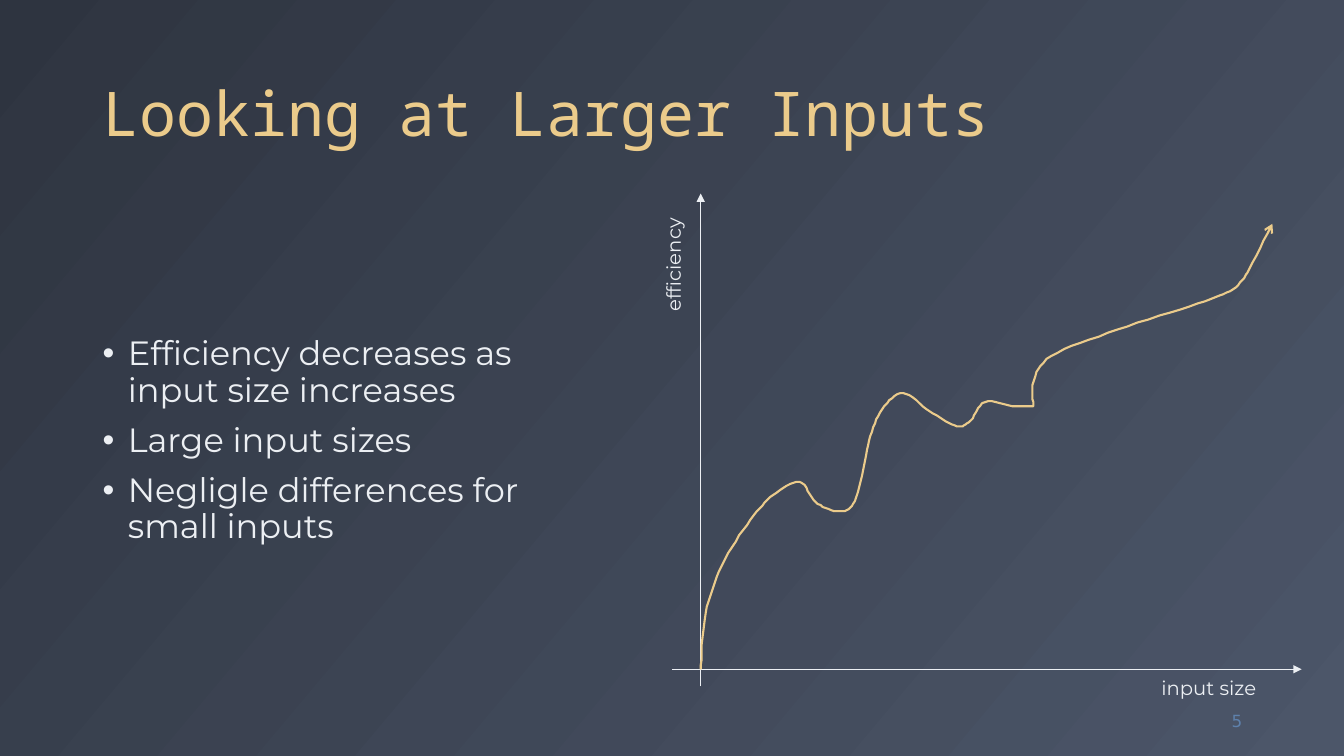
import pptx
import pptx.util
import pptx.dml.color
import pptx.enum.shapes
import pptx.enum.text
import pptx.oxml
import pptx.oxml.ns

PX = 9144  # 100 px to the inch
COLORS = {"dark": "2E3440", "slate": "4C5669", "gold": "EBCB8B",
          "snow": "ECEFF3", "blue": "5E81AC"}
ANCHOR = pptx.enum.text.MSO_ANCHOR
ALIGN = pptx.enum.text.PP_ALIGN
NS = pptx.oxml.ns.nsdecls("a")


def add_text(box, lines, font, size, color, anchor=ANCHOR.TOP, wrap=True):
    shape = slide.shapes.add_textbox(*[n * PX for n in box])
    frame = shape.text_frame
    frame.word_wrap = wrap
    frame.vertical_anchor = anchor
    frame.text = "\n".join(lines)
    for para in frame.paragraphs:
        para.font.name = font
        para.font.size = pptx.util.Pt(size)
        para.font.color.rgb = rgb[color]
    return shape


def style_line(shape, color, width, head):
    shape.line.color.rgb = rgb[color]
    shape.line.width = pptx.util.Pt(width)
    props = shape._element.spPr
    props.find(pptx.oxml.ns.qn("a:ln")).append(
        pptx.oxml.parse_xml(f'<a:tailEnd {NS} type="{head}"/>'))
    props.append(pptx.oxml.parse_xml(f"<a:effectLst {NS}/>"))


rgb = {name: pptx.dml.color.RGBColor.from_string(code)
       for name, code in COLORS.items()}
deck = pptx.Presentation()
deck.slide_width, deck.slide_height = 1333 * PX, 750 * PX
slide = deck.slides.add_slide(deck.slide_layouts[6])

# Background
back = slide.background.fill
back.gradient()
back.gradient_angle = 320
for stop, color in zip(back.gradient_stops, ("dark", "slate")):
    stop.color.rgb = rgb[color]

# Title
title = add_text((92, 18, 1150, 136), ["Looking at Larger Inputs"],
                 "Noto Sans Mono", 44, "gold", ANCHOR.BOTTOM)
title.text_frame.paragraphs[0].line_spacing = 0.9

# Bullets
points = ["Efficiency decreases as input size increases",
          "Large input sizes",
          "Negligle differences for small inputs"]
body = add_text((92, 200, 517, 476), points, "Montserrat", 24, "snow",
                ANCHOR.MIDDLE)
indent = 25 * PX
for para in body.text_frame.paragraphs:
    para.line_spacing = 0.9
    para.space_before = pptx.util.Pt(10)
    props = para._p.get_or_add_pPr()
    props.set("marL", str(indent))
    props.set("indent", str(-indent))
    # Bullet marks come before the default run properties
    for mark in ('buFont {} typeface="Arial"', 'buChar {} char="•"'):
        props.find(pptx.oxml.ns.qn("a:defRPr")).addprevious(
            pptx.oxml.parse_xml(f"<a:{mark.format(NS)}/>"))

# Slide number
number = add_text((1159, 695, 83, 40), ["5"], "DejaVu Sans", 12, "blue",
                  ANCHOR.MIDDLE)
number.text_frame.paragraphs[0].alignment = ALIGN.RIGHT

# Axes cross at the origin
left, base = 695, 664
for ends in ((667, base, 1291, base), (left, 681, left, 192)):
    axis = slide.shapes.add_connector(
        pptx.enum.shapes.MSO_CONNECTOR.STRAIGHT, *[n * PX for n in ends])
    style_line(axis, "snow", 0.5, "triangle")

# Efficiency curve: knots of each part; parts meet at sharp corners
start, notch, bend, tip = (left, base), (1025, 403), (1237, 271), (1262, 222)
rise = [(700, 608), (716, 561), (744, 516), (767, 491), (793, 478)]
dip = [(809, 498), (829, 507), (845, 502), (854, 476)]
hump = [(862, 437), (875, 406), (896, 390), (922, 408)]
shelf = [(947, 422), (961, 419), (977, 399), (1007, 403)]
surge = [(1025, 379), (1043, 353), (1108, 327), (1188, 301), (1223, 287)]
parts = [[start, *rise, *dip, *hump, *shelf, notch],
         [notch, *surge, bend],
         [bend, tip]]

# Smooth each part: the slope at a knot follows its two neighbours
STEPS = 8
curve = [start]
for part in parts:
    knots = [part[0], *part, part[-1]]
    for quad in zip(knots, knots[1:], knots[2:], knots[3:]):
        for step in range(1, STEPS + 1):
            t = step / STEPS
            curve.append(tuple(
                b + t * (c - a) / 2
                + t ** 2 * (2 * a - 5 * b + 4 * c - d) / 2
                + t ** 3 * (3 * b - a - 3 * c + d) / 2
                for a, b, c, d in zip(*quad)))

build = slide.shapes.build_freeform(*start, scale=PX)
build.add_line_segments(curve[1:], close=False)
trend = build.convert_to_shape()
trend.fill.background()
style_line(trend, "gold", 1.5, "arrow")

# Axis labels
for box, label, turn in (((611, 245, 114, 34), "efficiency", 270),
                         ((1142, 666, 115, 34), "input size", 0)):
    name = add_text(box, [label], "Montserrat", 14, "snow", wrap=False)
    name.rotation = turn

deck.save("out.pptx")
